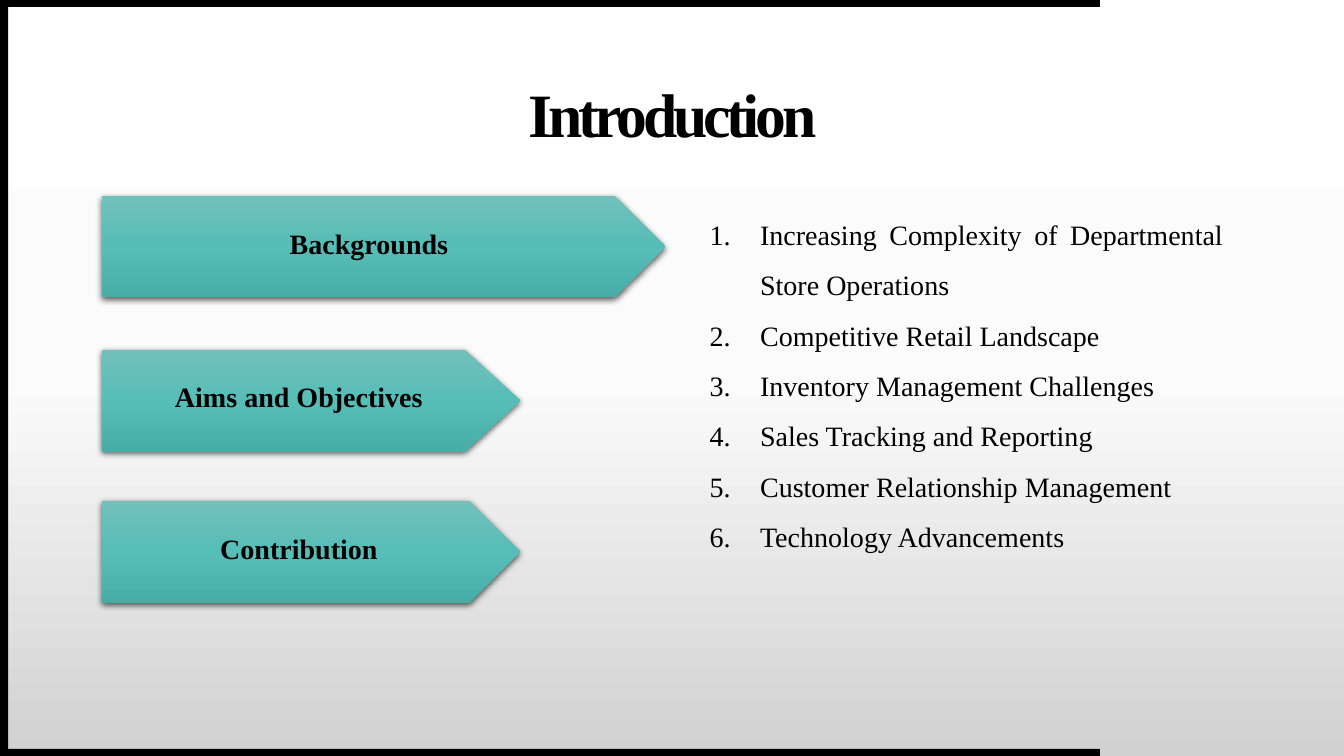
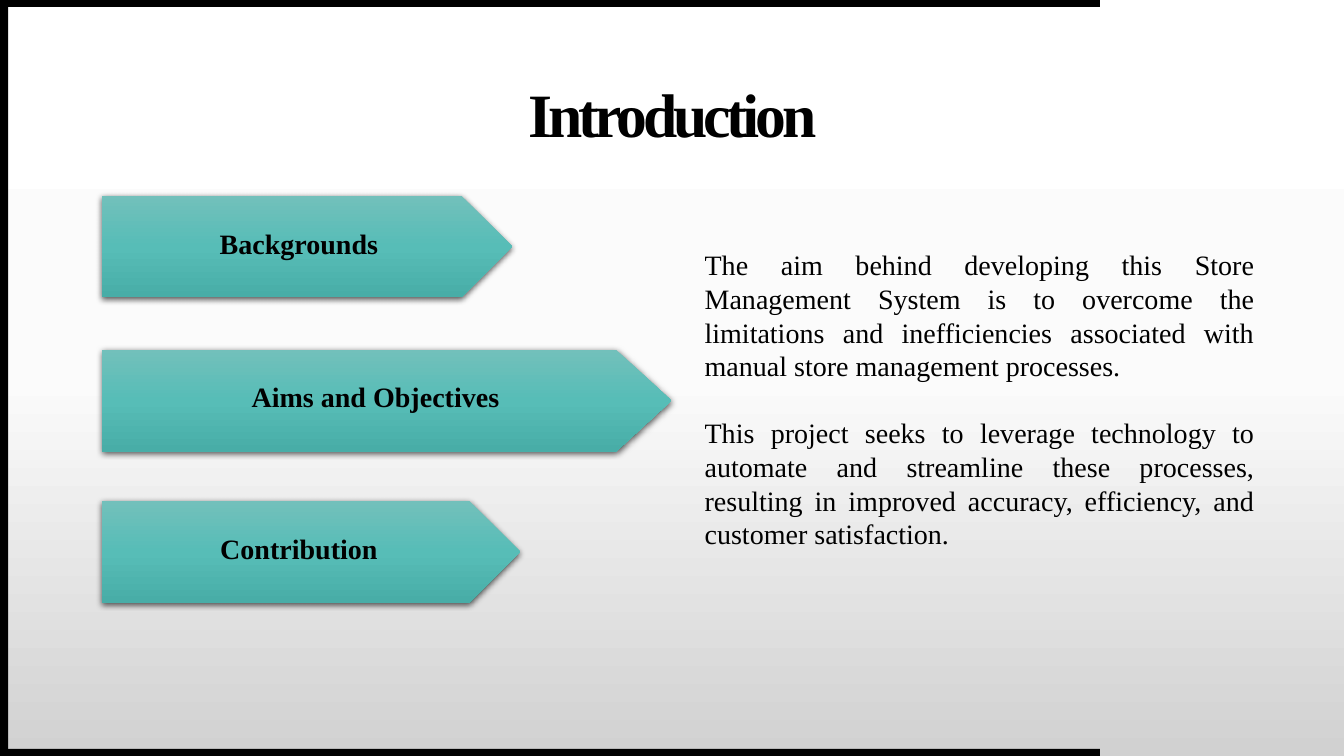
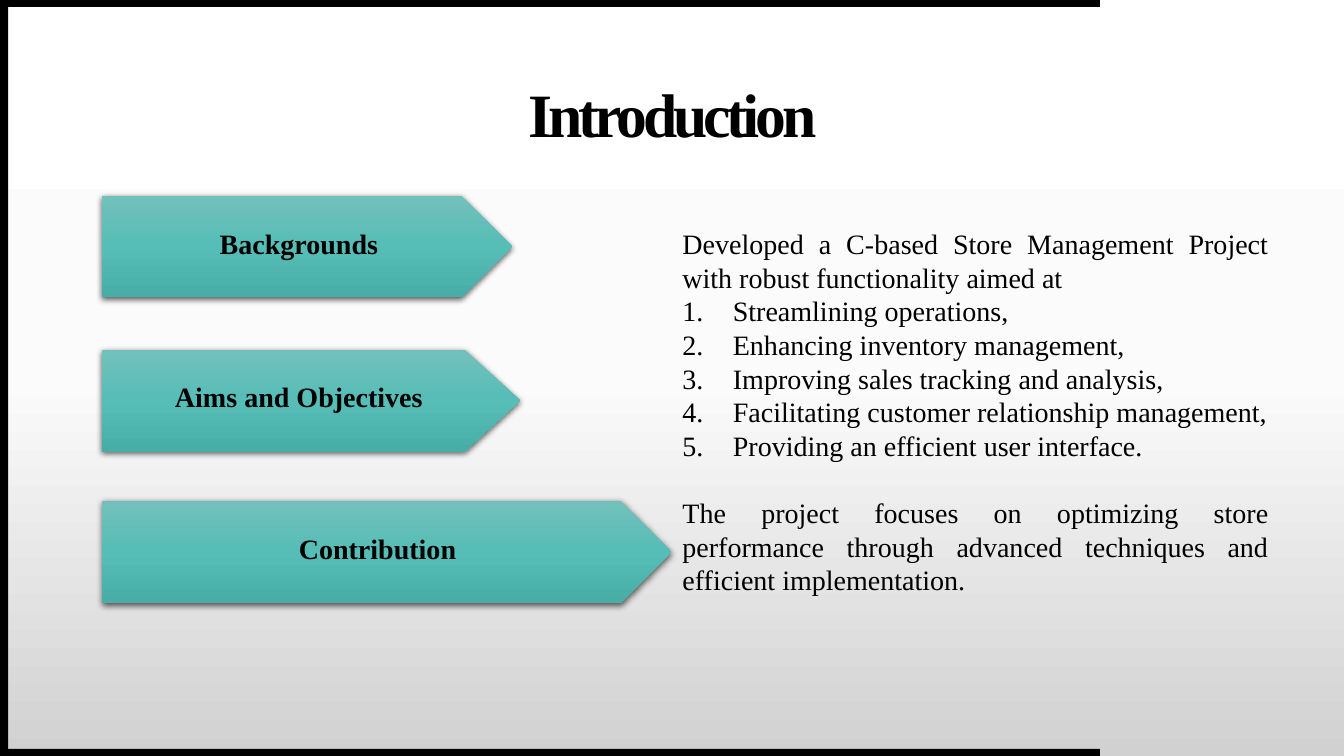
"""Build three Introduction slides with arrow tabs and a body text."""
from copy import deepcopy

from lxml.etree import SubElement
from pptx import Presentation
from pptx.dml.color import RGBColor
from pptx.enum.shapes import MSO_SHAPE
from pptx.enum.text import MSO_ANCHOR, MSO_AUTO_SIZE, PP_ALIGN
from pptx.oxml import parse_xml
from pptx.oxml.ns import nsdecls, qn
from pptx.util import Inches, Pt

COLORS = {
    "ink": "000000",
    "page": ["FFFFFF", "FBFBFB", "D1D1D1"],
    "tab": ["72C0BB", "57BDB7", "48ADA7"],
}
FONT = "Times New Roman"
LEFT = 1.01
SHADOW = (
    f'<a:effectLst {nsdecls("a")}><a:outerShdw blurRad="57150" dist="19050" dir="5400000" '
    f'algn="ctr" rotWithShape="0"><a:srgbClr val="{COLORS["ink"]}"><a:alpha val="63000"/>'
    '</a:srgbClr></a:outerShdw></a:effectLst>'
)


def shade(fill, owner, tones):
    """Fill with an even vertical gradient of three tones."""
    fill.gradient()
    fill.gradient_angle = 270
    stops = next(owner._element.iter(qn("a:gsLst")))
    stops.append(deepcopy(stops[-1]))
    for stop, tone, place in zip(fill.gradient_stops, tones, (0, 0.5, 1)):
        stop.color.rgb = RGBColor.from_string(tone)
        stop.position = place


def write(para, text, size, align, bold=False):
    """Add one styled run to a paragraph."""
    para.alignment = align
    run = para.add_run()
    run.text = text
    run.font.name = FONT
    run.font.size = Pt(size)
    run.font.bold = bold
    run.font.color.rgb = RGBColor.from_string(COLORS["ink"])
    return run


TABS = [
    ("Backgrounds", 1.94, 2.2, 4.07, 0.5),
    ("Aims and Objectives", 3.47, 3.72, 4.15, 0.544),
    ("Contribution", 4.97, 5.22, 4.15, 0.5),
]
SLIDES = [
    {
        "active": "Backgrounds", "tab": 5.59, "label": 5.3,
        "body": (6.94, 1.94, 5.29, 3.57), "lines": 1.5,
        "text": [
            ("item", "Increasing Complexity of Departmental Store Operations"),
            ("item", "Competitive Retail Landscape"),
            ("item", "Inventory Management Challenges"),
            ("item", "Sales Tracking and Reporting"),
            ("item", "Customer Relationship Management"),
            ("item", "Technology Advancements"),
        ],
    },
    {
        "active": "Aims and Objectives", "tab": 5.65, "label": 5.43,
        "body": (6.89, 2.41, 5.65, 3.13), "lines": 1,
        "text": [
            ("first", "The aim behind developing this Store Management System is to "
             "overcome the limitations and inefficiencies associated with manual "
             "store management processes."),
            ("next", "This project seeks to leverage technology to automate and "
             "streamline these processes, resulting in improved accuracy, "
             "efficiency, and customer satisfaction."),
        ],
    },
    {
        "active": "Contribution", "tab": 5.65, "label": 5.47,
        "body": (6.67, 2.2, 6.01, 3.8), "lines": 1,
        "text": [
            ("first", "Developed a C-based Store Management Project with robust "
             "functionality aimed at"),
            ("item", "Streamlining operations,"),
            ("item", "Enhancing inventory management,"),
            ("item", "Improving sales tracking and analysis,"),
            ("item", "Facilitating customer relationship management,"),
            ("item", "Providing an efficient user interface."),
            ("next", "The project focuses on optimizing store performance through "
             "advanced techniques and efficient implementation."),
        ],
    },
]

deck = Presentation()
deck.slide_width = Inches(13.33)
deck.slide_height = Inches(7.5)
layout = deck.slide_layouts[5]
shade(layout.background.fill, layout, COLORS["page"])

for index, page in enumerate(SLIDES):
    slide = deck.slides.add_slide(layout)
    shapes = slide.shapes

    if index == 0:
        for box in [(0, 7.43, 10.91, 0.07), (0, 0, 10.91, 0.07), (0, 0, 0.08, 7.5)]:
            band = shapes.add_shape(MSO_SHAPE.RECTANGLE, *map(Inches, box))
            band.shadow.inherit = False
            band.fill.solid()
            band.fill.fore_color.rgb = RGBColor.from_string(COLORS["ink"])
            band.line.fill.background()
            layout.shapes._spTree.append(band._element)

    title = shapes.title
    title.left, title.top, title.width, title.height = map(Inches, (LEFT, 0.48, 11.32, 1.27))
    frame = title.text_frame
    frame.auto_size = MSO_AUTO_SIZE.NONE
    frame.vertical_anchor = MSO_ANCHOR.MIDDLE
    frame.margin_left = frame.margin_right = frame.margin_top = frame.margin_bottom = 0
    run = write(frame.paragraphs[0], "Introduction", 44, PP_ALIGN.CENTER, True)
    run.font._element.set("spc", "-300")

    for name, top, text_top, width, point in TABS:
        active = name == page["active"]
        tab = shapes.add_shape(
            MSO_SHAPE.PENTAGON, Inches(LEFT), Inches(top),
            Inches(page["tab"] if active else width), Inches(1.01))
        tab.adjustments[0] = point
        shade(tab.fill, tab, COLORS["tab"])
        tab.line.fill.background()
        tab._element.spPr.append(parse_xml(SHADOW))

        label = shapes.add_textbox(
            Inches(LEFT), Inches(text_top),
            Inches(page["label"] if active else 3.91), Inches(0.44))
        label.text_frame.word_wrap = True
        label.text_frame.auto_size = MSO_AUTO_SIZE.SHAPE_TO_FIT_TEXT
        write(label.text_frame.paragraphs[0], name, 20, PP_ALIGN.CENTER, True)

    body = shapes.add_textbox(*map(Inches, page["body"]))
    frame = body.text_frame
    frame.word_wrap = True
    frame.auto_size = MSO_AUTO_SIZE.SHAPE_TO_FIT_TEXT
    for row, (kind, text) in enumerate(page["text"]):
        para = frame.add_paragraph() if row else frame.paragraphs[0]
        write(para, text, 20, PP_ALIGN.JUSTIFY)
        para.line_spacing = page["lines"]
        if kind == "next":
            para.space_before = Pt(24)
        if kind == "item":
            props = para._p.get_or_add_pPr()
            props.set("marL", str(Inches(0.5)))
            props.set("indent", str(-Inches(0.5)))
            SubElement(props, qn("a:buFont"), typeface="+mj-lt")
            SubElement(props, qn("a:buAutoNum"), type="arabicPeriod")

deck.save("out.pptx")
